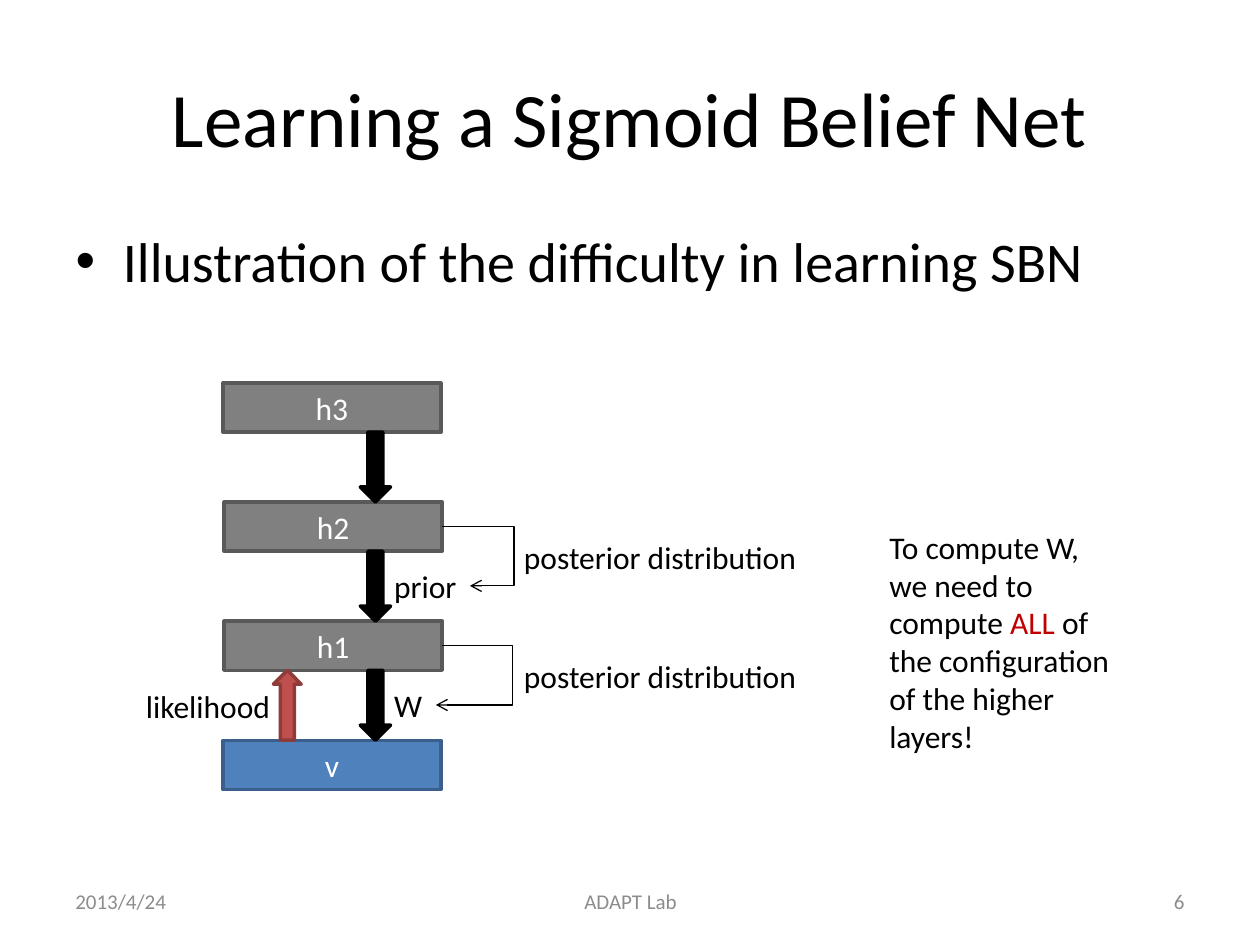
from lxml import etree
from pptx import Presentation
from pptx.dml.color import RGBColor
from pptx.enum.shapes import MSO_CONNECTOR, MSO_SHAPE
from pptx.enum.text import MSO_ANCHOR, MSO_AUTO_SIZE, PP_ALIGN
from pptx.oxml.ns import qn
from pptx.util import Inches, Pt

RECT, DOWN = MSO_SHAPE.RECTANGLE, MSO_SHAPE.DOWN_ARROW
ELBOW = MSO_CONNECTOR.ELBOW
TOP, MIDDLE = MSO_ANCHOR.TOP, MSO_ANCHOR.MIDDLE
LEFT, CENTER, RIGHT = PP_ALIGN.LEFT, PP_ALIGN.CENTER, PP_ALIGN.RIGHT
FIT = MSO_AUTO_SIZE.SHAPE_TO_FIT_TEXT
FACE, BLACK = "Calibri", "000000"


def color(code):
    return RGBColor.from_string(code)


def style(para, size, code, align=LEFT):
    para.alignment = align
    para.font.name = FACE
    para.font.size = Pt(size)
    para.font.color.rgb = color(code)


def place(shape, box):
    shape.left, shape.top, shape.width, shape.height = map(Inches, box)


def add_text(shapes, box, text, size=18, code=BLACK, align=LEFT,
             anchor=TOP, wrap=False):
    frame = shapes.add_textbox(*map(Inches, box)).text_frame
    frame.word_wrap = wrap
    frame.vertical_anchor = anchor
    if anchor == TOP:
        frame.auto_size = FIT
    para = frame.paragraphs[0]
    para.text = text
    style(para, size, code, align)
    return para


def add_block(shapes, kind, box, fill, edge, text=""):
    shape = shapes.add_shape(kind, *map(Inches, box))
    shape.shadow.inherit = False
    shape.fill.solid()
    shape.fill.fore_color.rgb = color(fill)
    shape.line.color.rgb = color(edge)
    shape.line.width = Pt(2)
    if text:
        shape.text_frame.vertical_anchor = MIDDLE
        para = shape.text_frame.paragraphs[0]
        para.text = text
        style(para, 18, "FFFFFF", CENTER)
    return shape


def add_elbow(shapes, start, end, bend):
    """Elbow arrow whose upright part stands at x = bend."""
    line = shapes.add_connector(ELBOW, *map(Inches, start + end))
    line.line.color.rgb = color(BLACK)
    line.line.width = Pt(0.75)
    props = line._element.spPr
    etree.SubElement(props.find(qn("a:ln")), qn("a:tailEnd"), type="arrow")
    etree.SubElement(props, qn("a:effectLst"))
    ratio = (bend - start[0]) / (end[0] - start[0])
    guides = props.find(qn("a:prstGeom")).find(qn("a:avLst"))
    etree.SubElement(guides, qn("a:gd"), name="adj1",
                     fmla=f"val {round(ratio * 100000)}")


def add_heads(slide):
    title, body = slide.placeholders
    parts = ((title, (0.5, 0.3, 9, 1.25), 44, CENTER,
              "Learning a Sigmoid Belief Net"),
             (body, (0.5, 1.75, 9, 4.95), 32, LEFT,
              "Illustration of the difficulty in learning SBN"))
    for shape, box, size, align, text in parts:
        place(shape, box)
        para = shape.text_frame.paragraphs[0]
        para.text = text
        para.space_before = Pt(0)
        style(para, size, BLACK, align)


def add_net(slide, left, top):
    shapes = slide.shapes.add_group_shape().shapes
    wide, high, step = 1.73, 0.39, 0.945
    gap = step - high

    # Layers, each with an arrow down to the next
    names = ("h3", "h2", "h1", "v")
    for i, name in enumerate(names):
        fill, edge = ("4F81BD", "3A5F8C") if name == "v" else ("808080", "595959")
        shift = 0.01 if name in ("h2", "h1") else 0
        add_block(shapes, RECT, (left + shift, top + i * step, wide, high),
                  fill, edge, name)
    for i in range(len(names) - 1):
        add_block(shapes, DOWN, (left + 1.09, top + high + i * step, 0.24, gap),
                  BLACK, BLACK)

    # Likelihood arrow, from v up to h1
    rise = add_block(shapes, DOWN,
                     (left + 0.4, top + 2 * step + high, 0.22, gap),
                     "C0504D", "8E3B39")
    rise.rotation = 180
    add_text(shapes, (left - 0.71, top + 2.36, 1.2, 0.4), "likelihood")

    # Posterior of each hidden layer, feeding the label below it
    links = ((1, "prior", 0.7, 3.73, 4.08), (2, "W", 0.43, 3.46, 4.07))
    for i, label, width, tip, bend in links:
        mid = top + i * step + high / 2
        add_text(shapes, (left + 1.26, mid + 0.27, width, 0.4), label)
        add_elbow(shapes, (left + wide + 0.01, mid), (tip, mid + 0.47), bend)
        add_text(shapes, (left + 2.29, mid + 0.04, 2.39, 0.4),
                 "posterior distribution")


def add_note(slide, box):
    para = add_text(slide.shapes, box, "To compute W, we need to compute ",
                    wrap=True)
    mark = para.add_run()
    mark.text = "ALL"
    mark.font.color.rgb = color("C00000")
    para.add_run().text = " of the configuration of the higher layers!"


def add_foot(slide, top):
    parts = ((0.5, 2.33, "2013/4/24", LEFT), (3.42, 3.17, "ADAPT Lab", CENTER),
             (7.17, 2.33, "6", RIGHT))
    for left, width, text, align in parts:
        add_text(slide.shapes, (left, top, width, 0.4), text, 12, "8C8C8C",
                 align, MIDDLE, True)


def main():
    deck = Presentation()
    deck.slide_width, deck.slide_height = Inches(10), Inches(7.5)
    slide = deck.slides.add_slide(deck.slide_layouts[1])
    add_heads(slide)
    add_net(slide, 1.77, 3.04)
    add_note(slide, (6.96, 4.14, 2.06, 1.92))
    add_foot(slide, 6.95)
    deck.save("out.pptx")


if __name__ == "__main__":
    main()
